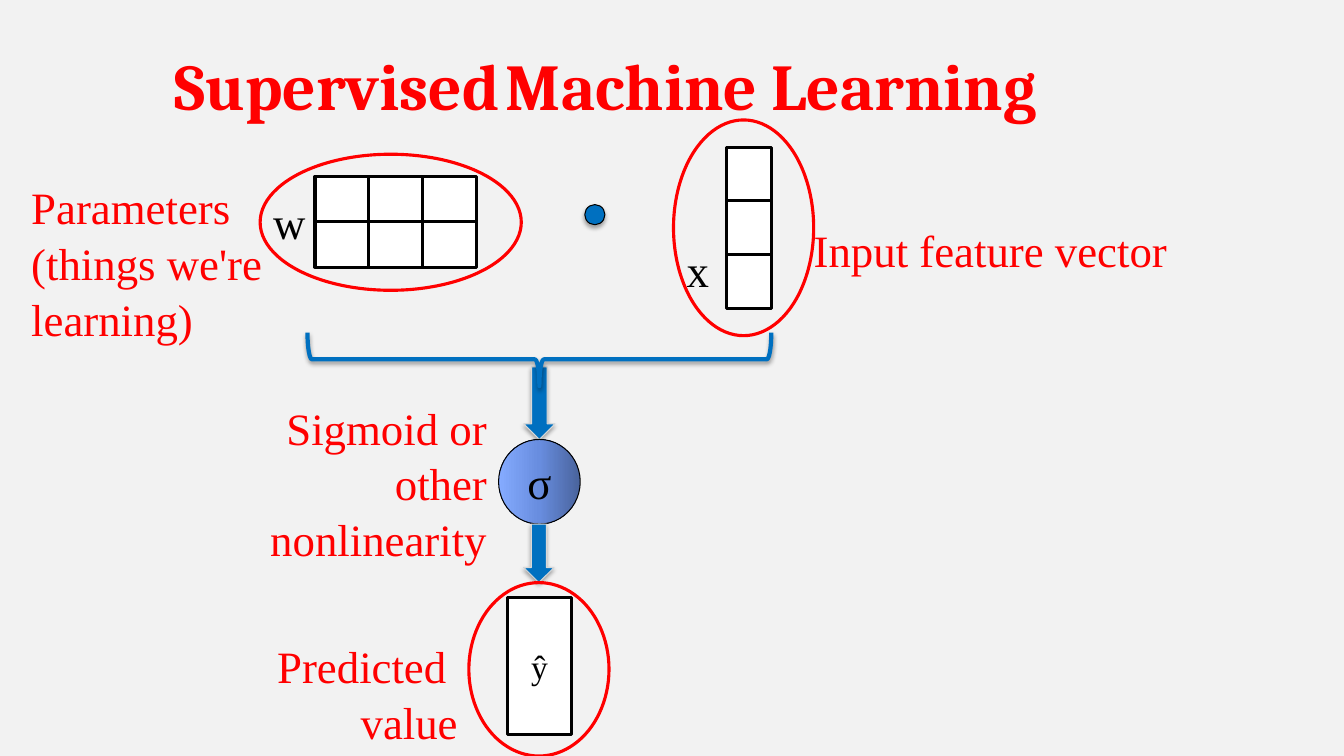
from dataclasses import dataclass
from itertools import product

from lxml.etree import SubElement
from pptx import Presentation
from pptx.dml.color import RGBColor
from pptx.enum.shapes import MSO_SHAPE
from pptx.enum.text import MSO_ANCHOR, PP_ALIGN
from pptx.oxml.ns import qn
from pptx.util import Inches, Pt

COLORS = {
    "background": "F2F2F2",
    "accent": "FF0000",
    "ink": "000000",
    "cell": "FFFFFF",
    "flow": "0070C0",
    "arrow_edge": "D8D8D8",
    "sigma_dark": "49639C",
    "sigma_mid": "688DDF",
    "sigma_light": "85ABFF",
}
BODY_FONT = "Times New Roman"
TITLE_FONT = "Cambria"
GRID = Inches(0.1)
MARGIN = Inches(0.13)
CELL_LONG, CELL_SHORT = 5.33, 4.5


@dataclass
class Box:
    left: float
    top: float
    width: float
    height: float

    def inner(self, column, row, width, height):
        return Box(self.left + column, self.top + row, width, height)

    def lengths(self):
        return [round(n * GRID) for n in (self.left, self.top, self.width, self.height)]


def color(name):
    return RGBColor.from_string(COLORS[name])


def style_run(run, size, tint, font=BODY_FONT, bold=False):
    run.font.size = Pt(size)
    run.font.name = font
    run.font.bold = bold
    run.font.color.rgb = color(tint)


def set_frame(frame, anchor):
    frame.word_wrap = True
    frame.vertical_anchor = anchor
    frame.margin_left = frame.margin_right = MARGIN
    frame.margin_top = frame.margin_bottom = MARGIN


def write(frame, words, size, tint, align, anchor, spacing=1.0):
    set_frame(frame, anchor)
    frame.text = words
    for paragraph in frame.paragraphs:
        paragraph.alignment = align
        paragraph.line_spacing = spacing
        for run in paragraph.runs:
            style_run(run, size, tint)


def add_label(slide, box, words, tint="accent", align=PP_ALIGN.LEFT):
    label = slide.shapes.add_textbox(*box.lengths())
    write(label.text_frame, words, 32, tint, align, MSO_ANCHOR.TOP, 1.04)


def add_figure(slide, kind, box, fill, edge, weight, symbol="", size=32):
    figure = slide.shapes.add_shape(kind, *box.lengths())
    figure.shadow.inherit = False
    if fill:
        figure.fill.solid()
        figure.fill.fore_color.rgb = color(fill)
    else:
        figure.fill.background()
    figure.line.color.rgb = color(edge)
    figure.line.width = Pt(weight)
    if symbol:
        write(figure.text_frame, symbol, size, "ink", PP_ALIGN.CENTER, MSO_ANCHOR.MIDDLE)
    return figure


def cast_shadow(figure, opacity=35, distance=1.8):
    effects = figure._element.spPr.find(qn("a:effectLst"))
    shadow = SubElement(effects, qn("a:outerShdw"), blurRad=str(Pt(3.1)),
                        dist=str(Pt(distance)), dir="5400000", rotWithShape="0")
    shade = SubElement(shadow, qn("a:srgbClr"), val=COLORS["ink"])
    SubElement(shade, qn("a:alpha"), val=str(opacity * 1000))


def shade_sigma(node):
    node.fill.gradient()
    node.fill.gradient_angle = 180
    stops = node._element.spPr.find(qn("a:gradFill")).find(qn("a:gsLst"))
    for stop in list(stops):
        stops.remove(stop)
    for share, name in ((0, "sigma_dark"), (50, "sigma_mid"), (100, "sigma_light")):
        stop = SubElement(stops, qn("a:gs"), pos=str(share * 1000))
        SubElement(stop, qn("a:srgbClr"), val=COLORS[name])


def add_ring(slide, box):
    add_figure(slide, MSO_SHAPE.OVAL, box, None, "accent", 2.25)


def add_cells(slide, box, columns, rows):
    width, height = box.width / columns, box.height / rows
    for row, column in product(range(rows), range(columns)):
        cell = box.inner(column * width, row * height, width, height)
        add_figure(slide, MSO_SHAPE.RECTANGLE, cell, "cell", "ink", 2.25)


def add_arrow(slide, box):
    cast_shadow(add_figure(slide, MSO_SHAPE.DOWN_ARROW, box, "flow", "arrow_edge", 0.75))


def add_title(slide, box):
    title = slide.shapes.add_textbox(*box.lengths())
    set_frame(title.text_frame, MSO_ANCHOR.MIDDLE)
    line = title.text_frame.paragraphs[0]
    properties = line._p.get_or_add_pPr()
    properties.set("marL", str(Inches(1.33)))
    properties.set("indent", str(Inches(-0.33)))
    for words, *look in (
        ("Supervised", 46.7, "accent", TITLE_FONT, True),
        (" ", 18, "ink"),
        ("Machine Learning", 46.7, "accent", TITLE_FONT, True),
    ):
        run = line.add_run()
        run.text = words
        style_run(run, *look)


def add_input(slide, box):
    add_cells(slide, box.inner(5.25, 2.7, CELL_SHORT, 3 * CELL_LONG), 1, 3)
    add_label(slide, box.inner(0, 10.7, 4.6, 6.2), "x", "ink")
    add_ring(slide, box.inner(0, 0, 13.9, box.height))
    add_label(slide, box.inner(12.6, 8.7, 39.6, 8.4), "Input feature vector")


def add_product(slide, box):
    cast_shadow(add_figure(slide, MSO_SHAPE.OVAL, box, "flow", "ink", 0.75))


def add_activation(slide, box):
    add_arrow(slide, box.inner(21.45, 3.4, 3.1, 7.2))
    sigma = add_figure(slide, MSO_SHAPE.OVAL, box.inner(18.95, 10.6, 8.1, 8.4),
                       "sigma_mid", "ink", 0.75, "σ")
    shade_sigma(sigma)
    span, depth = box.width, 5.3
    upright = box.inner((span - depth) / 2, (depth - span) / 2, depth, span)
    brace = add_figure(slide, MSO_SHAPE.LEFT_BRACE, upright, None, "flow", 3)
    brace.rotation = 270
    cast_shadow(brace, 38, 1.6)
    add_label(slide, box.inner(-6.7, 5.2, 25.8, 8.4), "Sigmoid or other nonlinearity",
              align=PP_ALIGN.RIGHT)


def add_prediction(slide, box):
    add_figure(slide, MSO_SHAPE.RECTANGLE, box.inner(24.5, 7.3, 6.4, 13.6),
               "cell", "ink", 2.25, "ŷ", 24)
    add_arrow(slide, box.inner(26.15, 0, 3, 5.8))
    add_ring(slide, box.inner(20.7, 5.8, 13.9, 17.2))
    add_label(slide, box.inner(0, 9.9, 20.9, 8.4), "Predicted \nvalue", align=PP_ALIGN.RIGHT)


def add_parameters(slide, box):
    add_label(slide, box.inner(24, 2.5, 4.6, 6.2), "w", "ink")
    add_cells(slide, box.inner(29.45, 2.2, 3 * CELL_LONG, 2 * CELL_SHORT), 3, 2)
    add_ring(slide, box.inner(24, 0, 25.9, box.height))
    add_label(slide, box.inner(0, 1, 35.1, 8.4), "Parameters\n(things we're learning)")


def main():
    deck = Presentation()
    deck.slide_width, deck.slide_height = Inches(13.33), Inches(7.5)
    slide = deck.slides.add_slide(deck.slide_layouts[6])
    slide.background.fill.solid()
    slide.background.fill.fore_color.rgb = color("background")
    add_title(slide, Box(6, 3.3, 120, 10.1))
    add_input(slide, Box(66.8, 11.9, 52.2, 21.4))
    add_product(slide, Box(58, 20.3, 2, 2))
    add_activation(slide, Box(30.5, 33, 46, 19))
    add_prediction(slide, Box(25.8, 52, 34.6, 23))
    add_parameters(slide, Box(1.8, 15.3, 49.9, 13.5))
    deck.save("out.pptx")


if __name__ == "__main__":
    main()
